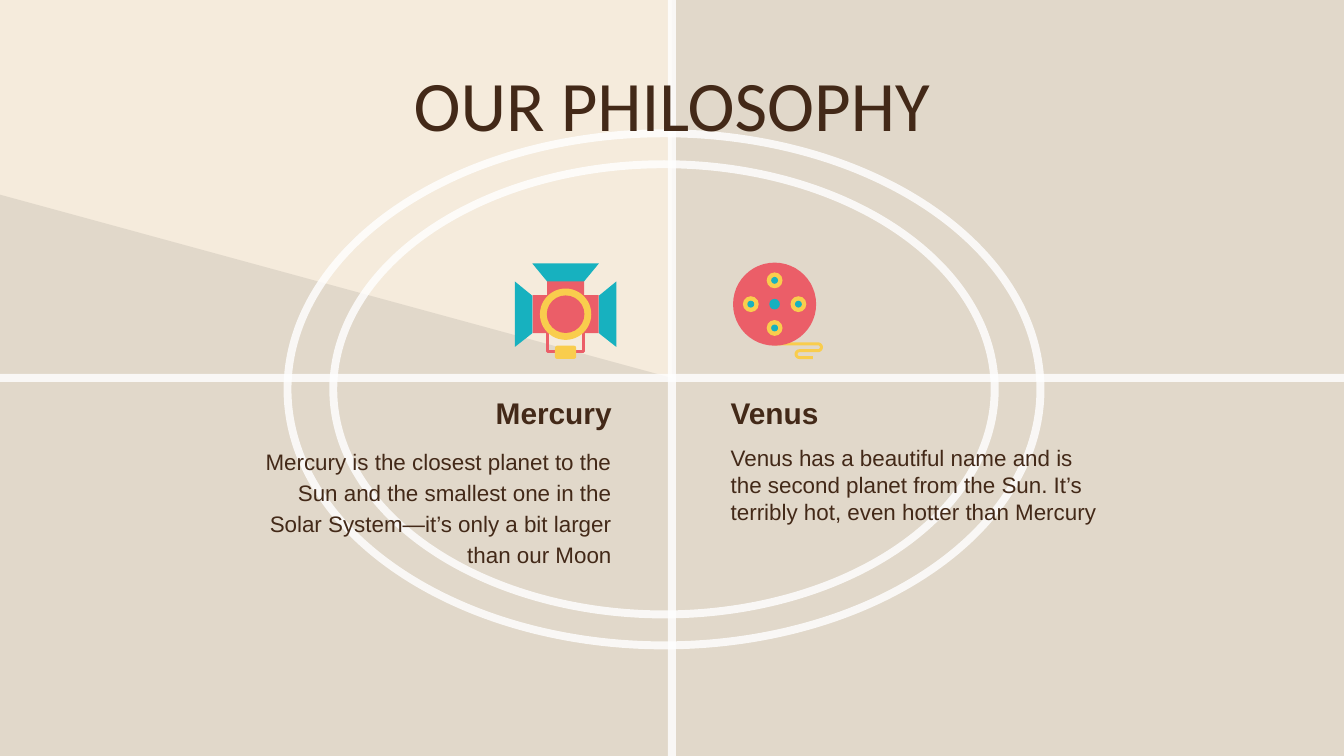
from math import cos, pi, sin

from lxml import etree
from pptx import Presentation
from pptx.dml.color import RGBColor
from pptx.enum.shapes import MSO_SHAPE
from pptx.enum.text import MSO_ANCHOR, PP_ALIGN
from pptx.oxml.ns import qn
from pptx.util import Cm, Pt

OVAL, RING = MSO_SHAPE.OVAL, MSO_SHAPE.DONUT
RECT, ROUNDED = MSO_SHAPE.RECTANGLE, MSO_SHAPE.ROUNDED_RECTANGLE
LEFT, CENTER, RIGHT = PP_ALIGN.LEFT, PP_ALIGN.CENTER, PP_ALIGN.RIGHT
TOP, MIDDLE = MSO_ANCHOR.TOP, MSO_ANCHOR.MIDDLE

WIDTH, HEIGHT = 25.4, 14.29
CREAM, WHITE, BLACK, BROWN = "F5EBDC", "FFFFFF", "000000", "432918"
CORAL, TEAL, YELLOW = "EB5E68", "17B1BF", "F9CD4D"
BAR = 0.15
GLASS = 82


def paint(fill, color, alpha=100):
    """Fill with a solid colour, alpha being the opacity in percent."""
    fill.solid()
    fill.fore_color.rgb = RGBColor.from_string(color)
    if alpha < 100:
        choice = fill.fore_color._xFill[0]
        etree.SubElement(choice, qn("a:alpha"), val=str(alpha * 1000))


def add_centered(slide, preset, x, y, width, height, color, alpha=100):
    """Add a borderless preset shape around a centre point."""
    shape = slide.shapes.add_shape(
        preset, Cm(x - width / 2), Cm(y - height / 2), Cm(width), Cm(height))
    shape.shadow.inherit = False
    shape.line.fill.background()
    paint(shape.fill, color, alpha)
    return shape


def add_outline(slide, points, close):
    """Add a freeform through points given in centimetres."""
    (x, y), *rest = [(Cm(px), Cm(py)) for px, py in points]
    builder = slide.shapes.build_freeform(x, y)
    builder.add_line_segments(rest, close=close)
    shape = builder.convert_to_shape()
    shape.shadow.inherit = False
    return shape


def add_polygon(slide, points, color, alpha=100):
    """Add a filled polygon without a border."""
    polygon = add_outline(slide, points, True)
    polygon.line.fill.background()
    paint(polygon.fill, color, alpha)


def add_wire(slide, points, color):
    """Add an open line through points."""
    wire = add_outline(slide, points, False)
    wire.fill.background()
    paint(wire.line.fill, color)
    wire.line.width = Pt(1.6)


def add_text(slide, text, x, y, width, height, size, font="Arial", bold=False,
             align=LEFT, anchor=TOP, spacing=None):
    """Add a wrapped text box with one formatted paragraph."""
    box = slide.shapes.add_textbox(Cm(x), Cm(y), Cm(width), Cm(height))
    frame = box.text_frame
    frame.word_wrap = True
    frame.vertical_anchor = anchor
    frame.margin_left = frame.margin_right = Cm(0.25)
    frame.margin_top = frame.margin_bottom = Cm(0.25)
    paragraph = frame.paragraphs[0]
    paragraph.alignment = align
    paragraph.line_spacing = spacing
    run = paragraph.add_run()
    run.text = text
    run.font.name, run.font.size, run.font.bold = font, Pt(size), bold
    run.font.color.rgb = RGBColor.from_string(BROWN)


def bend(x, y, radius, side):
    """Return points down a half circle that bulges right (1) or left (-1)."""
    angles = [pi * step / 12 for step in range(13)]
    return [(x + side * radius * sin(a), y - radius * cos(a)) for a in angles]


def draw_backdrop(slide):
    """Draw the countdown frame: shaded sweep, two rings and the cross."""
    paint(slide.background.fill, CREAM)
    middle_x, middle_y = WIDTH / 2, HEIGHT / 2
    sweep = [(middle_x, 0), (middle_x, middle_y), (0, 3.68),
             (0, HEIGHT), (WIDTH, HEIGHT), (WIDTH, 0)]
    add_polygon(slide, sweep, BLACK, 8)
    for width, height in [(12.65, 8.66), (14.38, 9.83)]:
        ring = add_centered(slide, RING, 12.55, 7.36, width, height, WHITE, GLASS)
        ring.adjustments[0] = BAR / height
    add_centered(slide, RECT, middle_x, middle_y, BAR, HEIGHT, WHITE, GLASS)
    add_centered(slide, RECT, middle_x, middle_y, WIDTH, BAR, WHITE, GLASS)


def draw_spotlight(slide, x, y):
    """Draw a spotlight whose lens is centred on the point."""
    bracket = [(x - 0.34, y + 0.3), (x - 0.34, y + 0.71),
               (x + 0.34, y + 0.71), (x + 0.34, y + 0.3)]
    add_wire(slide, bracket, CORAL)
    add_centered(slide, RECT, x, y, 1.25, 0.72, CORAL)
    add_centered(slide, RECT, x, y - 0.43, 0.7, 0.4, CORAL)
    for side in (-1, 1):
        outer, inner = x + side * 0.96, x + side * 0.63
        flap = [(outer, y - 0.62), (inner, y - 0.35),
                (inner, y + 0.36), (outer, y + 0.62)]
        add_polygon(slide, flap, TEAL)
    visor = [(x - 0.63, y - 0.96), (x - 0.35, y - 0.62),
             (x + 0.35, y - 0.62), (x + 0.63, y - 0.96)]
    add_polygon(slide, visor, TEAL)
    add_centered(slide, OVAL, x, y, 0.97, 0.97, YELLOW)
    add_centered(slide, OVAL, x, y, 0.71, 0.71, CORAL)
    add_centered(slide, ROUNDED, x, y + 0.72, 0.4, 0.25, YELLOW)


def draw_reel(slide, x, y):
    """Draw a film reel centred on the point, with its loose strip."""
    strip = [(x, y + 0.75), *bend(x + 0.82, y + 0.815, 0.065, 1),
             *bend(x + 0.47, y + 0.945, 0.065, -1), (x + 0.72, y + 1.01)]
    add_wire(slide, strip, YELLOW)
    add_centered(slide, OVAL, x, y, 1.57, 1.57, CORAL)
    add_centered(slide, OVAL, x, y, 0.2, 0.2, TEAL)
    for across, down in [(0, -1), (1, 0), (0, 1), (-1, 0)]:
        hole_x, hole_y = x + 0.45 * across, y + 0.45 * down
        add_centered(slide, OVAL, hole_x, hole_y, 0.3, 0.3, YELLOW)
        add_centered(slide, OVAL, hole_x, hole_y, 0.13, 0.13, TEAL)


def add_planet(slide, x, name, description, align, spacing=None):
    """Add a planet's heading and its description below."""
    add_text(slide, name, x, 7.42, 7.52, 0.76, 16, bold=True,
             align=align, anchor=MIDDLE)
    add_text(slide, description, x, 8.15, 7.52, 3.2, 12,
             align=align, spacing=spacing)


def main():
    """Build the slide and save it."""
    deck = Presentation()
    deck.slide_width, deck.slide_height = Cm(WIDTH), Cm(HEIGHT)
    slide = deck.slides.add_slide(deck.slide_layouts[6])
    draw_backdrop(slide)
    draw_spotlight(slide, 10.69, 5.94)
    draw_reel(slide, 14.64, 5.75)
    add_text(slide, "OUR PHILOSOPHY", 2, 1.5, 21.4, 0.9, 38, font="Calibri",
             align=CENTER, anchor=MIDDLE)
    add_planet(slide, 13.56, "Venus",
               "Venus has a beautiful name and is the second planet from the "
               "Sun. It’s terribly hot, even hotter than Mercury", LEFT)
    add_planet(slide, 4.29, "Mercury",
               "Mercury is the closest planet to the Sun and the smallest one "
               "in the Solar System—it’s only a bit larger than our Moon",
               RIGHT, spacing=1.15)
    deck.save("out.pptx")


if __name__ == "__main__":
    main()
